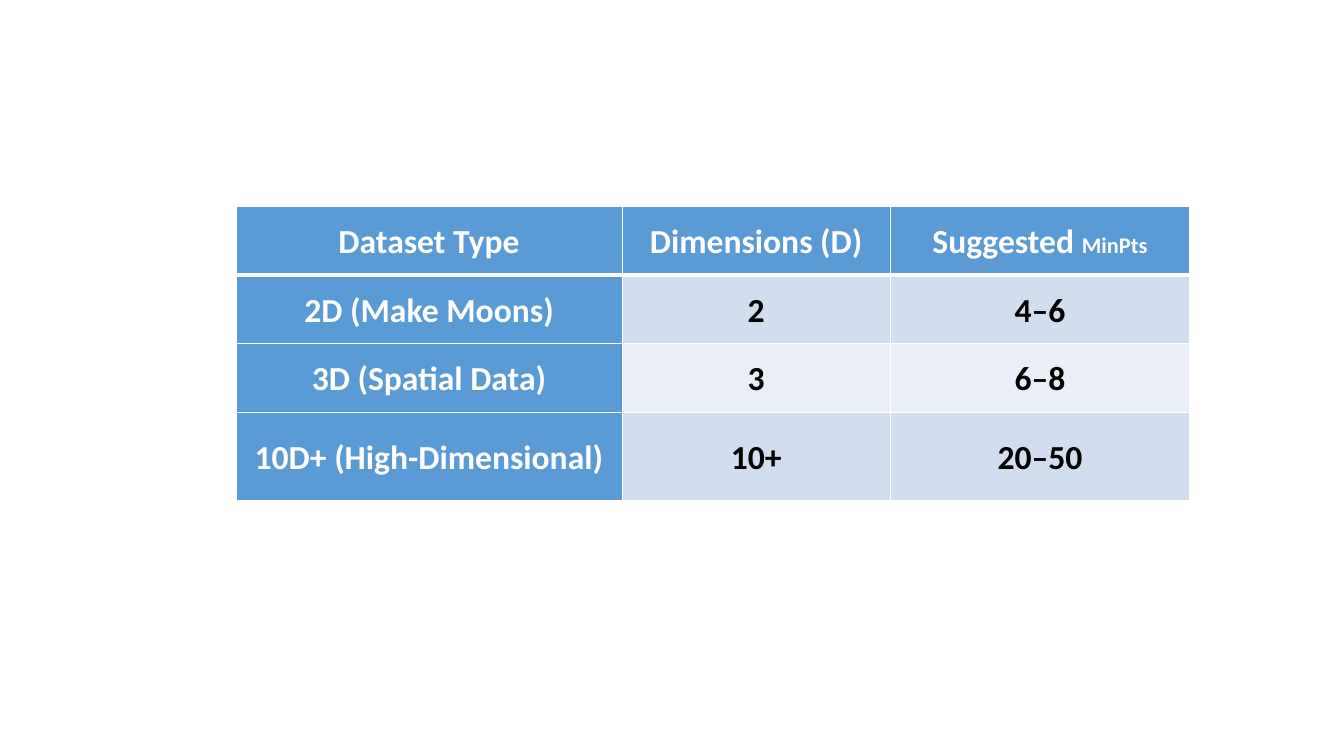
from lxml.etree import SubElement
from pptx import Presentation
from pptx.dml.color import RGBColor
from pptx.enum.text import MSO_ANCHOR, PP_ALIGN
from pptx.oxml.ns import qn
from pptx.util import Inches, Pt

WHITE = RGBColor(0xFF, 0xFF, 0xFF)
BLACK = RGBColor(0x00, 0x00, 0x00)
BLUE = RGBColor(0x5B, 0x9B, 0xD5)
BANDS = (RGBColor(0xEA, 0xEF, 0xF7), RGBColor(0xD2, 0xDE, 0xEF))

COL_WIDTHS = (3.83, 2.66, 2.97)
ROW_HEIGHTS = (0.68, 0.68, 0.68, 0.88)
ROWS = (
    (("Dataset Type",), ("Dimensions (D)",), ("Suggested ", "MinPts")),
    (("2D (Make Moons)",), ("2",), ("4–6",)),
    (("3D (Spatial Data)",), ("3",), ("6–8",)),
    (("10D+ (High-Dimensional)",), ("10+",), ("20–50",)),
)


class SlideBuilder:
    """Holds the text style and the current slide, and draws tables on it."""

    def __init__(self, prs, font="Calibri", sizes=(24, 16)):
        self.s = prs.slides.add_slide(prs.slide_layouts[6])
        self.font = font
        self.sizes = sizes

    def table(self, left, top, widths, heights, rows):
        tbl = self.s.shapes.add_table(
            len(rows), len(widths), Inches(left), Inches(top),
            Inches(sum(widths)), Inches(sum(heights))).table
        for col, width in zip(tbl.columns, widths):
            col.width = Inches(width)
        for row, height in zip(tbl.rows, heights):
            row.height = Inches(height)
        for i, row in enumerate(rows):
            for j, texts in enumerate(row):
                header = i == 0 or j == 0
                cell = tbl.cell(i, j)
                self.borders(cell, top=3 if i == 1 else 1, bottom=3 if i == 0 else 1)
                cell.fill.solid()
                cell.fill.fore_color.rgb = BLUE if header else BANDS[i % 2]
                self.cell_text(cell, texts, WHITE if header else BLACK)

    def borders(self, cell, top, bottom):
        tc_pr = cell._tc.get_or_add_tcPr()
        for tag, width in (("a:lnL", 1), ("a:lnR", 1), ("a:lnT", top), ("a:lnB", bottom)):
            ln = SubElement(tc_pr, qn(tag), w=str(Pt(width)))
            fill = SubElement(ln, qn("a:solidFill"))
            SubElement(fill, qn("a:srgbClr"), val=str(WHITE))

    def cell_text(self, cell, texts, color):
        cell.vertical_anchor = MSO_ANCHOR.MIDDLE
        cell.margin_left = cell.margin_right = Inches(0.01)
        cell.margin_top = cell.margin_bottom = Inches(0.01)
        p = cell.text_frame.paragraphs[0]
        p.alignment = PP_ALIGN.CENTER
        p.line_spacing = 1.07
        for text, size in zip(texts, self.sizes):
            r = p.add_run()
            r.text = text
            r.font.name = self.font
            r.font.size = Pt(size)
            r.font.bold = True
            r.font.color.rgb = color


def main():
    prs = Presentation()
    prs.slide_width = Inches(13.33)
    prs.slide_height = Inches(7.5)
    SlideBuilder(prs).table(2.34, 2.05, COL_WIDTHS, ROW_HEIGHTS, ROWS)
    prs.save("out.pptx")


if __name__ == "__main__":
    main()
